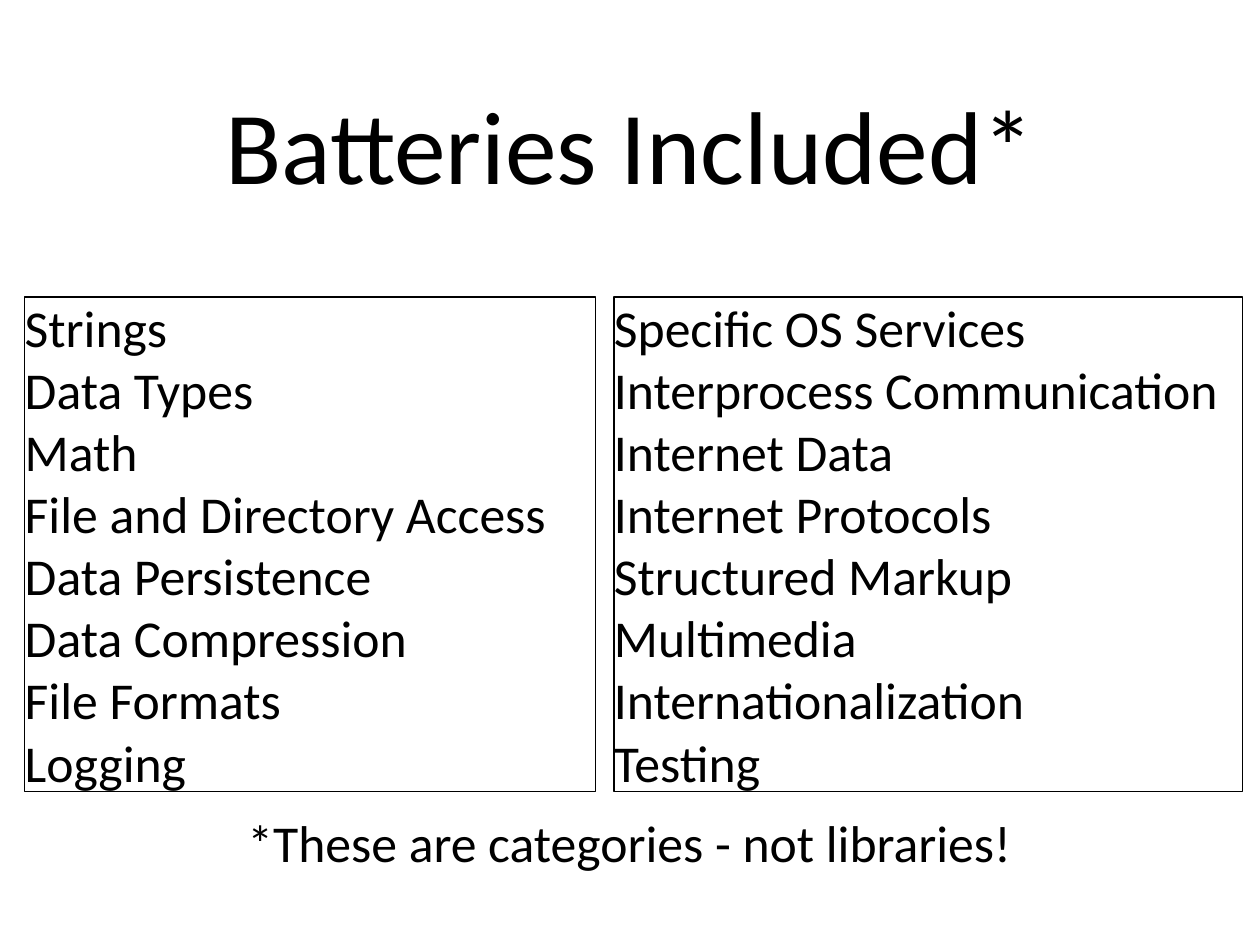
from pptx import Presentation
from pptx.dml.color import RGBColor
from pptx.enum.shapes import MSO_SHAPE as Shape
from pptx.enum.text import MSO_ANCHOR as Anchor, MSO_AUTO_SIZE as AutoSize, PP_ALIGN as Align
from pptx.util import Cm, Pt

# Content
TITLE = "Batteries Included*"
FOOTNOTE = "*These are categories - not libraries!"
LEFT_CATEGORIES = [
    "Strings",
    "Data Types",
    "Math",
    "File and Directory Access",
    "Data Persistence",
    "Data Compression",
    "File Formats",
    "Logging",
]
RIGHT_CATEGORIES = [
    "Specific OS Services",
    "Interprocess Communication",
    "Internet Data",
    "Internet Protocols",
    "Structured Markup",
    "Multimedia",
    "Internationalization",
    "Testing",
]

# Layout in centimetres
SLIDE_WIDTH, SLIDE_HEIGHT = 36.12, 27.08
TITLE_AREA = (3.53, 0.71, 29.06, 6.78)
FOOTNOTE_AREA = (5.41, 23.22, 25.27, 1.78)
LIST_LEFT, LIST_TOP, LIST_HEIGHT, LIST_GAP = 0.71, 8.51, 14.17, 0.53
LISTS = [(LEFT_CATEGORIES, 16.36), (RIGHT_CATEGORIES, 18.03)]

# Style
BLACK = RGBColor(0, 0, 0)
TITLE_SIZE, BODY_SIZE = 84, 42


def write_text(shape, lines, size, alignment, inset=0, wrap=True):
    frame = shape.text_frame
    frame.text = "\n".join(lines)
    frame_format = {
        "vertical_anchor": Anchor.MIDDLE,
        "auto_size": AutoSize.NONE if wrap else AutoSize.SHAPE_TO_FIT_TEXT,
        "word_wrap": wrap,
        "margin_left": Cm(inset),
        "margin_top": Cm(inset),
        "margin_right": Cm(inset),
        "margin_bottom": Cm(inset),
    }
    for name, value in frame_format.items():
        setattr(frame, name, value)
    for paragraph in frame.paragraphs:
        paragraph.alignment = alignment
        paragraph.font.name = "Calibri"
        paragraph.font.size = Pt(size)
        paragraph.font.color.rgb = BLACK


presentation = Presentation()
presentation.slide_width = Cm(SLIDE_WIDTH)
presentation.slide_height = Cm(SLIDE_HEIGHT)
slide = presentation.slides.add_slide(presentation.slide_layouts.get_by_name("Title Only"))

# Title
title = slide.shapes.title
for side, length in zip(("left", "top", "width", "height"), TITLE_AREA):
    setattr(title, side, Cm(length))
write_text(title, [TITLE], TITLE_SIZE, Align.CENTER, inset=0.15)

# Two framed category lists, side by side
left = LIST_LEFT
for categories, width in LISTS:
    box = slide.shapes.add_shape(
        Shape.RECTANGLE, Cm(left), Cm(LIST_TOP), Cm(width), Cm(LIST_HEIGHT))
    box.shadow.inherit = False
    box.fill.background()
    box.line.color.rgb = BLACK
    box.line.width = Pt(1)
    write_text(box, categories, BODY_SIZE, Align.LEFT)
    left += width + LIST_GAP

# Footnote
footnote = slide.shapes.add_textbox(*map(Cm, FOOTNOTE_AREA))
write_text(footnote, [FOOTNOTE], BODY_SIZE, Align.CENTER, wrap=False)

presentation.save("out.pptx")
